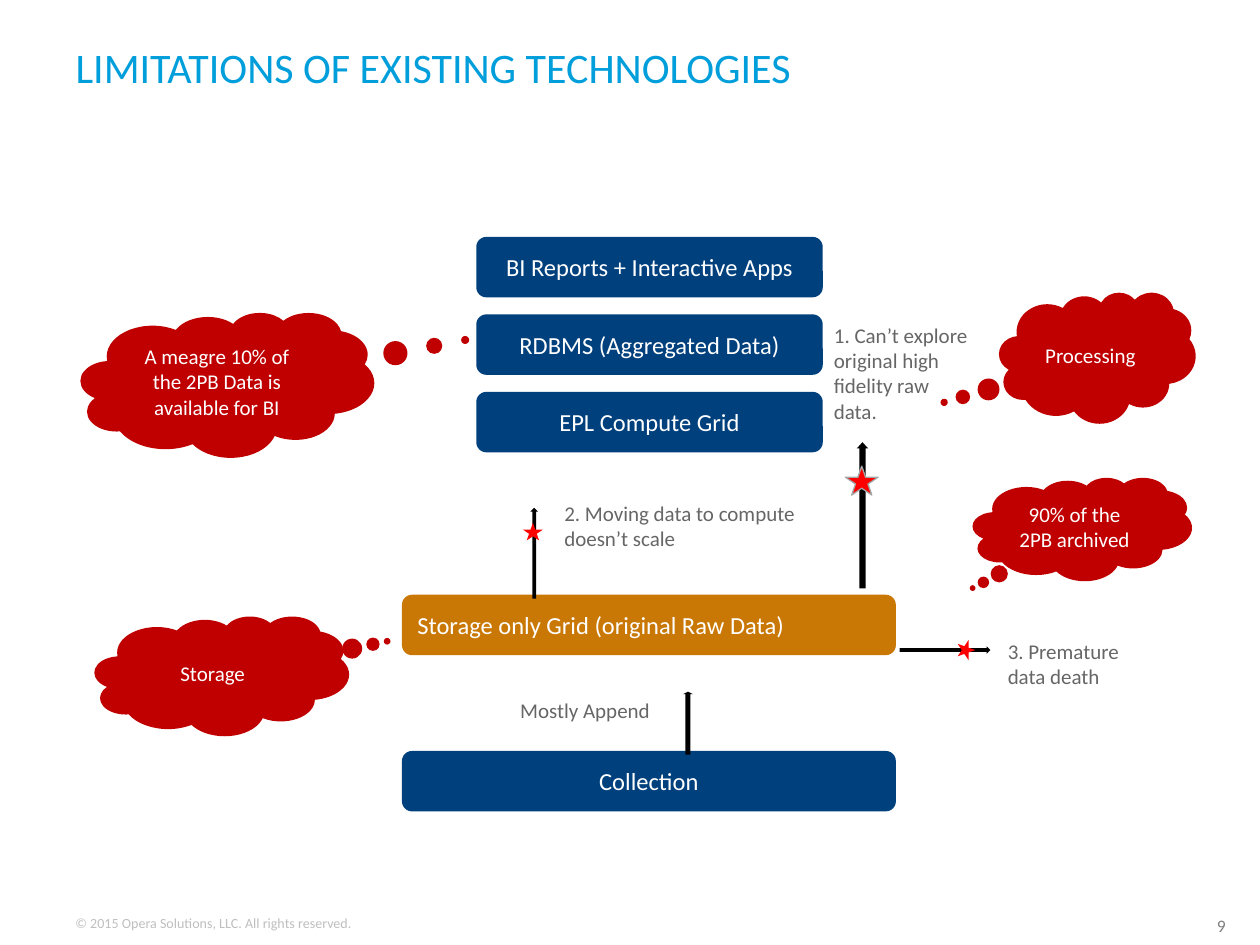
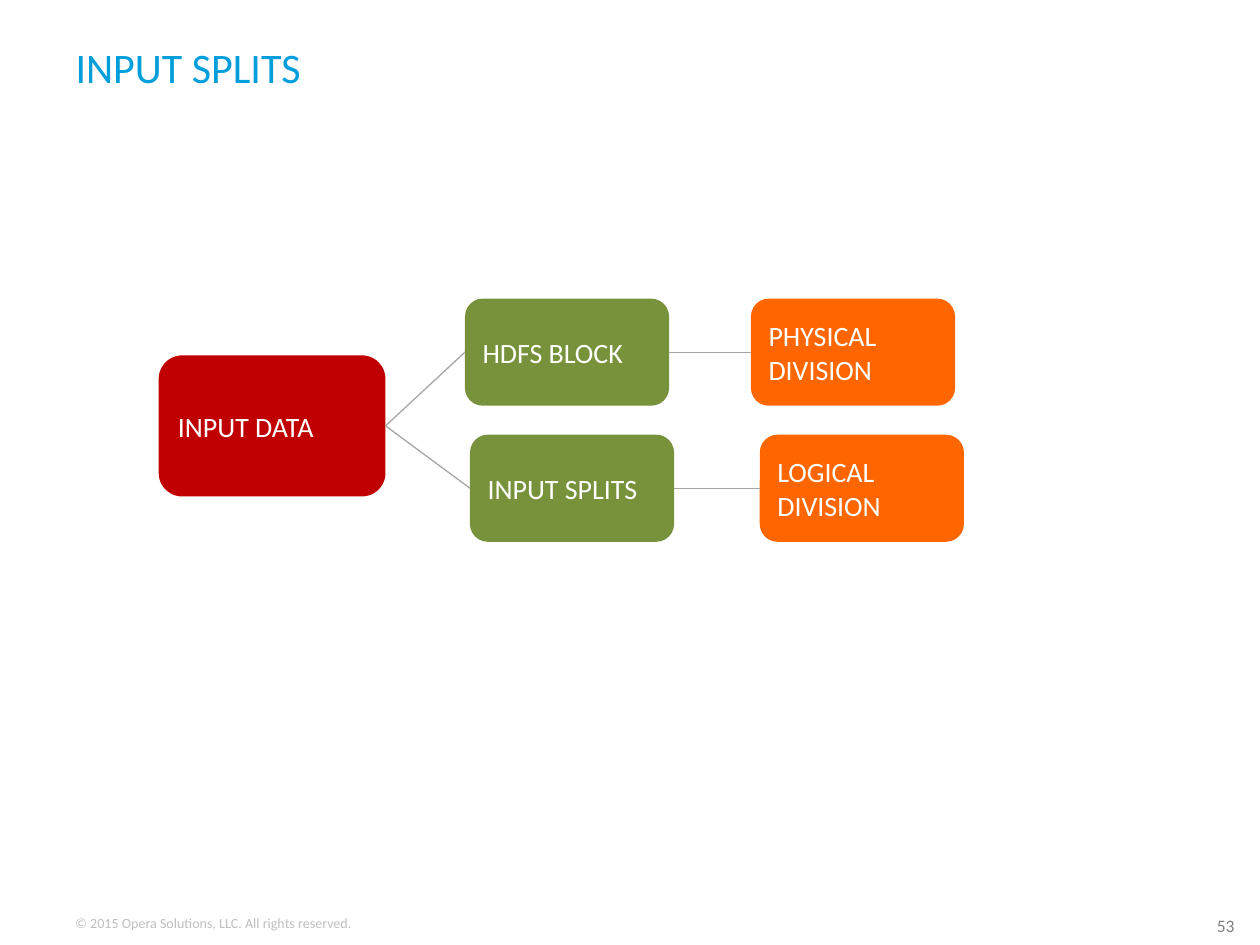
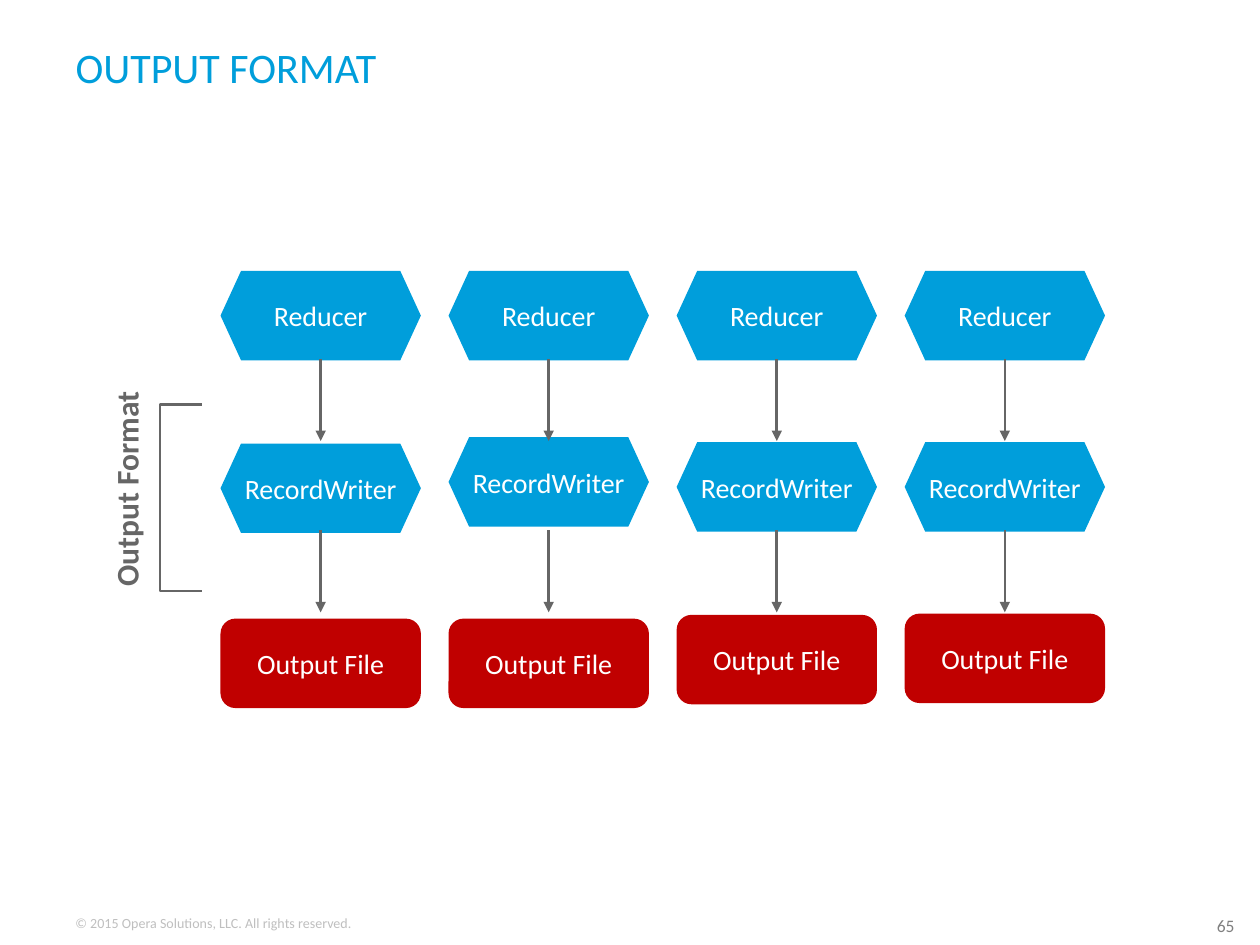
from dataclasses import dataclass

from lxml.etree import SubElement
from pptx import Presentation
from pptx.dml.color import RGBColor
from pptx.enum.shapes import MSO_CONNECTOR as Connector, MSO_SHAPE as Preset
from pptx.enum.text import MSO_ANCHOR as Anchor, PP_ALIGN as Align
from pptx.oxml.ns import qn
from pptx.util import Inches, Pt

COLUMNS, ROWS = 100, 75
WIDTH, HEIGHT = Inches(10), Inches(7.5)
FONT = "Calibri"
BLUE, NAVY, RED, OCHRE = "009EDB", "00407D", "C00000", "CA7805"
GREEN, ORANGE, STAR_RED = "77923B", "FF6600", "FF0000"
WHITE, BLACK, TEXT_GRAY, LINE_GRAY = "FFFFFF", "000000", "666666", "A6A6A6"
NUMBER_GRAY, FOOTER_GRAY = "808080", "BFBFBF"


@dataclass
class Box:
    """An area measured in grid columns and rows."""

    left: float
    top: float
    width: float
    height: float

    def area(self, column, row, width, height):
        """Return an area placed from this area's corner."""
        return Box(self.left + column, self.top + row, width, height)

    def emu(self):
        """Return left, top, width and height in slide units."""
        across, down = WIDTH / COLUMNS, HEIGHT / ROWS
        return (round(self.left * across), round(self.top * down),
                round(self.width * across), round(self.height * down))


PAGE = Box(0, 0, COLUMNS, ROWS)


def color(value):
    """Turn a hex string into a colour."""
    return RGBColor.from_string(value)


def write(shape, text, size, ink, align=Align.LEFT, anchor=Anchor.TOP, wrap=True, bold=False):
    """Set and format the text of a shape."""
    frame = shape.text_frame
    frame.text = text
    frame.word_wrap = wrap
    frame.vertical_anchor = anchor
    for para in frame.paragraphs:
        para.alignment = align
        for span in para.runs:
            span.font.name, span.font.size, span.font.bold = FONT, Pt(size), bold
            span.font.color.rgb = color(ink)


def add_text(page, box, text, size=12, ink=TEXT_GRAY, **style):
    """Add a text box."""
    label = page.shapes.add_textbox(*box.emu())
    write(label, text, size, ink, **style)
    return label


def add_preset(page, preset, box, fill=None, line=None, weight=0.75, adjust=()):
    """Add a preset shape without shadow."""
    shape = page.shapes.add_shape(preset, *box.emu())
    shape.shadow.inherit = False
    for index, value in enumerate(adjust):
        shape.adjustments[index] = value
    if fill:
        shape.fill.solid()
        shape.fill.fore_color.rgb = color(fill)
    else:
        shape.fill.background()
    if line:
        shape.line.color.rgb = color(line)
        shape.line.width = Pt(weight)
    else:
        shape.line.fill.background()
    return shape


def add_block(page, box, text, fill, size, align=Align.CENTER, preset=Preset.ROUNDED_RECTANGLE, adjust=()):
    """Add a filled shape with white text in its middle."""
    block = add_preset(page, preset, box, fill, adjust=adjust)
    write(block, text, size, WHITE, align, Anchor.MIDDLE)
    return block


def add_line(page, start, end, ink, weight, arrow=False):
    """Add a straight connector between two grid points."""
    first, last = Box(*start, 0, 0).emu(), Box(*end, 0, 0).emu()
    line = page.shapes.add_connector(Connector.STRAIGHT, *first[:2], *last[:2])
    line.line.color.rgb = color(ink)
    line.line.width = Pt(weight)
    properties = line.element.spPr
    if arrow:
        SubElement(properties.find(qn("a:ln")), qn("a:tailEnd"), type="triangle")
    SubElement(properties, qn("a:effectLst"))
    return line


def add_page(deck, title, number):
    """Add a slide with its title, copyright line and number."""
    page = deck.slides.add_slide(deck.slide_layouts[5])
    heading = page.shapes.title
    heading.left, heading.top, heading.width, heading.height = PAGE.area(5, 2.2, 78.3, 6.2).emu()
    write(heading, title, 24, BLUE, anchor=Anchor.MIDDLE)
    add_text(page, PAGE.area(95.6, 72.1, 4.4, 2.7), number, 10, NUMBER_GRAY)
    add_text(page, PAGE.area(5, 72.1, 24.2, 2.4),
             "© 2015 Opera Solutions, LLC. All rights reserved.", 8, FOOTER_GRAY, wrap=False)
    return page


def draw_clouds(page, box):
    """Place the cloud callouts on both sides."""
    clouds = [
        ("A meagre 10% of the 2PB Data is available for BI", (6.4, 24.8, 23.3, 11.5), (0.81, -0.31)),
        ("Storage", (7.5, 48.9, 20.2, 9.5), (0.65, -0.29)),
        ("Processing", (79.3, 23.2, 15.6, 10.4), (-0.78, 0.34)),
        ("90% of the 2PB archived", (77.2, 37.9, 17.4, 8.2), (-0.5, 0.57)),
    ]
    for text, place, pointer in clouds:
        add_block(page, box.area(*place), text, RED, 12, preset=Preset.CLOUD_CALLOUT, adjust=pointer)


def draw_layers(page, box):
    """Stack the three upper layers over the two wide ones."""
    layers = ["BI Reports + Interactive Apps", "RDBMS (Aggregated Data)", "EPL Compute Grid"]
    for index, text in enumerate(layers):
        add_block(page, box.area(5.9, index * 6.15, 27.5, 4.8), text, NAVY, 14)
    add_block(page, box.area(0, 28.4, box.width, 4.8), "Storage only Grid (original Raw Data)",
              OCHRE, 14, Align.LEFT)
    add_block(page, box.area(0, 40.8, box.width, 4.8), "Collection", NAVY, 14)


def draw_notes(page, box):
    """Write the remarks beside the arrows."""
    add_text(page, box.area(65.2, 25.1, 13, 9.1), "1. Can’t explore original high fidelity raw data.")
    add_text(page, box.area(43.8, 39.2, 21.5, 5), "2. Moving data to compute doesn’t scale")
    add_text(page, box.area(40.3, 54.9, 12.4, 3), "Mostly Append", wrap=False)
    add_text(page, box.area(79, 50.2, 11, 5), "3. Premature data death")


def draw_flows(page, box):
    """Draw the data flows and the stars that mark the blocked ones."""
    arrows = [
        (Preset.UP_ARROW, (68, 35.1, 0.9, 11.6), (0.55, 0.55)),
        (Preset.UP_ARROW, (42.1, 40.3, 0.6, 7.2), (0.5, 0.5)),
        (Preset.RIGHT_ARROW, (71.4, 51.3, 7.2, 0.6), (0.5, 0.5)),
        (Preset.UP_ARROW, (54.2, 54.9, 0.8, 5), (0.5, 0.25)),
    ]
    for preset, place, adjust in arrows:
        add_preset(page, preset, box.area(*place), BLACK, adjust=adjust)
    stars = [
        ((67.1, 37, 2.6, 2.3), LINE_GRAY, 0),
        ((41.5, 41.5, 1.6, 1.4), None, 0),
        ((75.9, 50.9, 1.6, 1.4), None, 90),
    ]
    for place, line, turn in stars:
        star = add_preset(page, Preset.STAR_5_POINT, box.area(*place), STAR_RED, line)
        star.rotation = turn


def draw_splits(page, box):
    """Draw the tree from the input data to its two divisions."""
    source = add_block(page, box.area(0, 4.5, 18, 11.2), "INPUT DATA", RED, 16, Align.LEFT)
    branches = [
        (0, "HDFS BLOCK", 24.3, "PHYSICAL\nDIVISION", 47),
        (10.8, "INPUT SPLITS", 24.7, "LOGICAL DIVISION", 47.7),
    ]
    for row, name, name_left, kind, kind_left in branches:
        unit = add_block(page, box.area(name_left, row, 16.2, 8.5), name, GREEN, 16, Align.LEFT)
        division = add_block(page, box.area(kind_left, row, 16.2, 8.5), kind, ORANGE, 16, Align.LEFT)
        for start, end in ((source, unit), (unit, division)):
            link = add_line(page, (0, 0), (0, 0), LINE_GRAY, 0.75)
            link.begin_connect(start, 3)
            link.end_connect(end, 1)


def draw_pipelines(page, box):
    """Draw four columns leading from a reducer to an output file."""
    pitch, width, height = 18.1, 15.9, 7.1
    writer_rows, file_rows = (13.7, 13.2, 13.6, 13.6), (27.6, 27.6, 27.3, 27.2)
    hexagon = {"preset": Preset.HEXAGON, "adjust": (0.23,)}
    for index, (writer_row, file_row) in enumerate(zip(writer_rows, file_rows)):
        column = index * pitch
        steps = [("Reducer", 0, BLUE, hexagon), ("RecordWriter", writer_row, BLUE, hexagon),
                 ("Output File", file_row, RED, {})]
        for text, row, fill, outline in steps:
            block = add_block(page, box.area(column, row, width, height), text, fill, 16, **outline)
            frame = block.text_frame
            frame.word_wrap = False
            frame.margin_left = frame.margin_right = frame.margin_top = frame.margin_bottom = 0
        middle = box.left + column + width / 2
        for row in (7, 20.6):
            start = box.top + row
            add_line(page, (middle, start), (middle, start + 6.5), TEXT_GRAY, 1.5, arrow=True)


def draw_bracket(page, box):
    """Draw the bracket with its upright label."""
    label = add_text(page, box.area(-12.7, 4.9, 20, 3.6), "Output Format", 18,
                     align=Align.CENTER, anchor=Anchor.MIDDLE, bold=True)
    label.rotation = 270
    add_preset(page, Preset.LEFT_BRACKET, box, line=TEXT_GRAY, weight=1.5, adjust=(0,))


def main():
    """Build and save the three slides."""
    deck = Presentation()
    deck.slide_width, deck.slide_height = WIDTH, HEIGHT

    page = add_page(deck, "LIMITATIONS OF EXISTING TECHNOLOGIES", "9")
    draw_clouds(page, PAGE)
    draw_layers(page, Box(31.9, 18.8, 39.2, 45.6))
    draw_notes(page, PAGE)
    draw_flows(page, PAGE)

    page = add_page(deck, "INPUT SPLITS", "53")
    draw_splits(page, Box(12.6, 23.7, 63.9, 19.3))

    page = add_page(deck, "OUTPUT FORMAT", "65")
    draw_pipelines(page, Box(17.5, 21.5, 70.2, 34.7))
    draw_bracket(page, Box(12.7, 32.1, 3.3, 14.8))

    deck.save("out.pptx")


if __name__ == "__main__":
    main()
